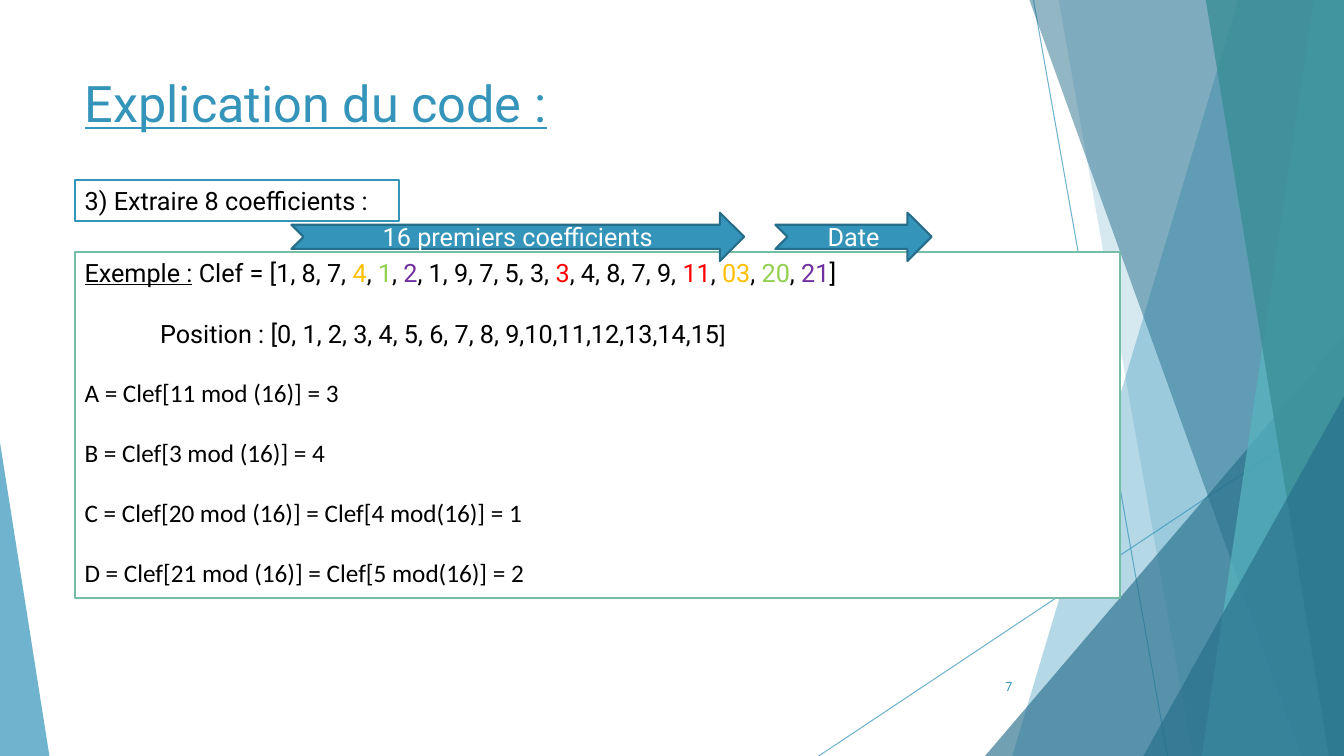
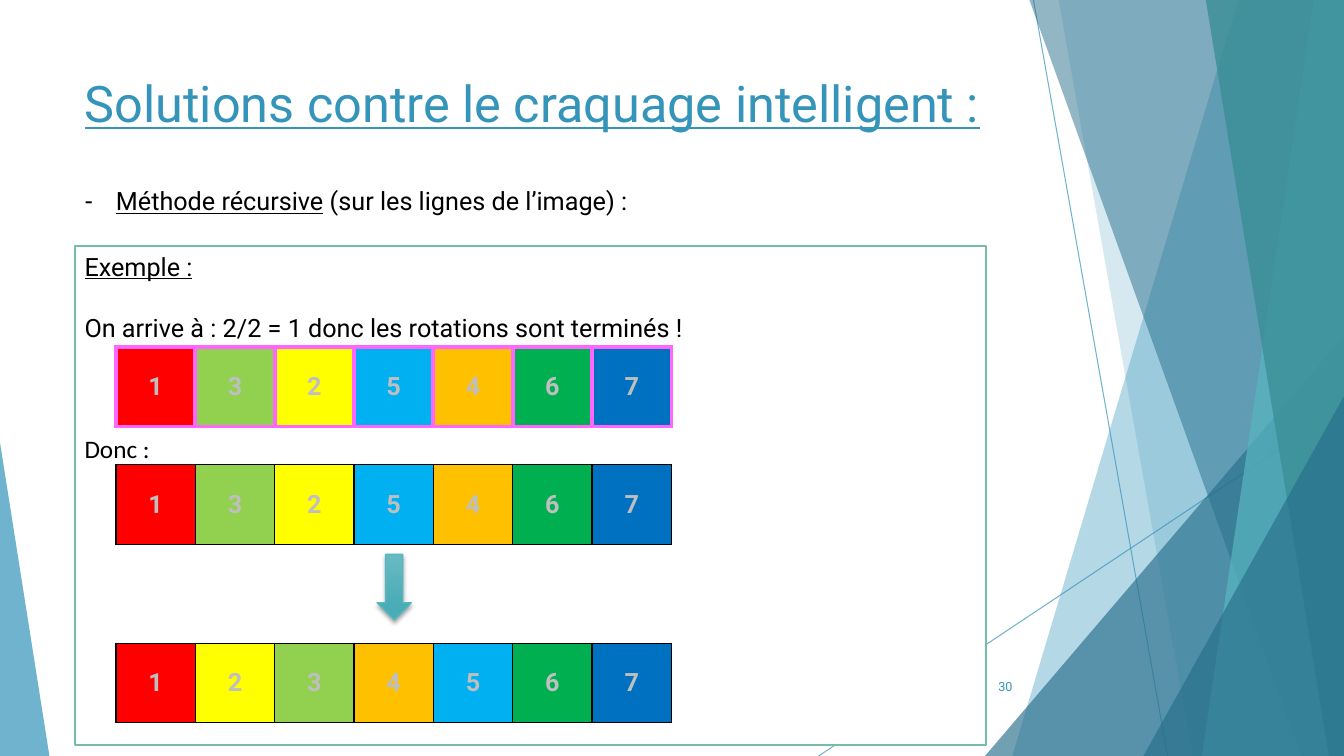
from dataclasses import dataclass
from typing import NamedTuple, Optional

from lxml.etree import SubElement
from pptx import Presentation
from pptx.dml.color import RGBColor
from pptx.enum.shapes import MSO_CONNECTOR, MSO_SHAPE
from pptx.enum.text import MSO_ANCHOR, MSO_AUTO_SIZE, PP_ALIGN
from pptx.oxml.ns import qn
from pptx.slide import Slide, SlideLayout
from pptx.util import Inches, Pt


@dataclass(frozen=True)
class Theme:
    """Colours, fonts and type sizes of the presentation."""
    accent: str = "3494BA"
    accent_dark: str = "276F8B"
    arrow_line: str = "266D8A"
    teal: str = "58B6C0"
    teal_dark: str = "3A8F98"
    teal_light: str = "67BAC3"
    teal_medium: str = "4AACB6"
    frame: str = "75BDA7"
    white: str = "FFFFFF"
    black: str = "000000"
    pink: str = "FF66FF"
    gray: str = "BFBFBF"
    red: str = "FF0000"
    orange: str = "FFC000"
    light_green: str = "92D050"
    purple: str = "7030A0"
    yellow: str = "FFFF00"
    sky: str = "00B0F0"
    green: str = "00B050"
    blue: str = "0070C0"
    font: str = "Roboto"
    formula_font: str = "Calibri"
    title_size: float = 36
    body_size: float = 18
    bracket_size: float = 16
    number_size: float = 9


THEME = Theme()
WIDTH, HEIGHT = 13.33, 7.5
LEFT = 0.74


class Box(NamedTuple):
    """A rectangle in inches."""
    left: float
    top: float
    width: float
    height: float

    def lengths(self) -> list:
        """Give the four values as lengths."""
        return [Inches(value) for value in self]


class Ray(NamedTuple):
    """A thin line of the decoration."""
    start: tuple
    end: tuple


class Band(NamedTuple):
    """A band from top to bottom that reaches the right edge."""
    top_left: float
    bottom_left: float
    color: str
    opacity: int


class Corner(NamedTuple):
    """A right triangle in a lower corner."""
    box: Box
    apex: float
    color: str
    opacity: int


class Run(NamedTuple):
    """A piece of text with its format."""
    text: str
    color: str = THEME.black
    underline: bool = False
    font: str = THEME.font
    size: float = THEME.body_size
    bold: bool = False


class Line(NamedTuple):
    """A paragraph with its spacing and indent."""
    runs: list
    space_before: float = 0
    margin: float = 0
    bullet: Optional[str] = None
    align: PP_ALIGN = PP_ALIGN.LEFT


class NumberRow(NamedTuple):
    """A row of numbered coloured cells."""
    top: float
    order: str
    border: str
    border_width: float


DECORATION = [
    Ray((10.25, 0), (11.58, HEIGHT)),
    Ray((WIDTH, 4.03), (8.12, HEIGHT)),
    Band(12.28, 10.04, THEME.accent, 36),
    Band(10.5, 11.83, THEME.accent, 20),
    Corner(Box(9.77, 3.33, 3.56, 4.17), 1, THEME.accent_dark, 66),
    Band(10.21, 12.91, THEME.accent_dark, 50),
    Band(13.03, 11.92, THEME.teal, 70),
    Band(11.96, 13.18, THEME.teal_dark, 80),
    Corner(Box(11.34, 3.93, 1.99, 3.57), 1, THEME.accent_dark, 66),
    Corner(Box(0, 4.39, 0.49, 3.11), 0, THEME.accent, 70),
]

CELL_COLORS = {
    "1": THEME.red, "2": THEME.yellow, "3": THEME.light_green, "4": THEME.orange,
    "5": THEME.sky, "6": THEME.green, "7": THEME.blue,
}
NUMBER_ROWS = [
    NumberRow(3.44, "1325467", THEME.pink, 3),
    NumberRow(4.61, "1325467", THEME.black, 1),
    NumberRow(6.38, "1234567", THEME.black, 1),
]

KEY_RUNS = [
    Run("Exemple :", underline=True), Run(" Clef = [1, 8, 7, "),
    Run("4", THEME.orange), Run(", "), Run("1", THEME.light_green), Run(", "),
    Run("2", THEME.purple), Run(", 1, 9, 7, 5, 3, "), Run("3", THEME.red),
    Run(", 4, 8, 7, 9, "), Run("11", THEME.red), Run(", "), Run("03", THEME.orange),
    Run(", "), Run("20", THEME.light_green), Run(", "), Run("21", THEME.purple), Run("]"),
]
POSITION_RUNS = [
    Run("Position : [0, 1, 2, 3, 4, 5, 6, 7, 8, 9,10,11,12,13,14,15"),
    Run("]", size=THEME.bracket_size),
]
FORMULAS = [
    "A = Clef[11 mod (16)] = 3",
    "B = Clef[3 mod (16)] = 4",
    "C = Clef[20 mod (16)] = Clef[4 mod(16)] = 1",
    "D = Clef[21 mod (16)] = Clef[5 mod(16)] = 2",
]


def rgb(color: str) -> RGBColor:
    """Turn a hexadecimal colour into an RGB colour."""
    return RGBColor.from_string(color)


def style(shape, fill: str, line: Optional[str] = None, width: float = 1.5) -> None:
    """Give a shape a plain fill and an optional outline."""
    shape.fill.solid()
    shape.fill.fore_color.rgb = rgb(fill)
    if line:
        shape.line.color.rgb = rgb(line)
        shape.line.width = Pt(width)
    else:
        shape.line.fill.background()


def set_opacity(shape, percent: int) -> None:
    """Make the colours of a shape partly transparent."""
    for color in list(shape.element.iter(qn("a:srgbClr"))):
        SubElement(color, qn("a:alpha"), val=str(percent * 1000))


def add_run(paragraph, text: str, *, color: str, underline: bool, font: str,
            size: float, bold: bool) -> None:
    """Add formatted text to a paragraph."""
    run = paragraph.add_run()
    run.text = text
    run.font.name = font
    run.font.size = Pt(size)
    run.font.color.rgb = rgb(color)
    run.font.underline = underline
    run.font.bold = bold


def write(frame, lines: list, anchor: MSO_ANCHOR = MSO_ANCHOR.TOP) -> None:
    """Fill a text frame with paragraphs."""
    frame.word_wrap = True
    frame.auto_size = MSO_AUTO_SIZE.NONE
    frame.vertical_anchor = anchor
    for index, line in enumerate(lines):
        paragraph = frame.add_paragraph() if index else frame.paragraphs[0]
        properties = paragraph._p.get_or_add_pPr()
        properties.set("marL", str(Inches(line.margin)))
        properties.set("indent", str(Inches(-line.margin if line.bullet else 0)))
        if line.bullet:
            SubElement(properties, qn("a:buChar"), char=line.bullet)
        else:
            SubElement(properties, qn("a:buNone"))
        paragraph.alignment = line.align
        paragraph.space_before = Pt(line.space_before)
        for run in line.runs:
            add_run(paragraph, run.text, **{
                name: value for name, value in run._asdict().items() if name != "text"})


def add_box(slide: Slide, preset: MSO_SHAPE, box: Box):
    """Add a preset shape without shadow."""
    shape = slide.shapes.add_shape(preset, *box.lengths())
    shape.shadow.inherit = False
    return shape


def draw_part(slide: Slide, part):
    """Draw one line, band or triangle of the decoration."""
    if isinstance(part, Ray):
        points = [Inches(value) for value in part.start + part.end]
        shape = slide.shapes.add_connector(MSO_CONNECTOR.STRAIGHT, *points)
        shape.line.color.rgb = rgb(THEME.accent)
        shape.line.width = Pt(0.75)
        SubElement(shape.element.spPr, qn("a:effectLst"))
        set_opacity(shape, 70)
        return shape
    if isinstance(part, Band):
        builder = slide.shapes.build_freeform(Inches(part.top_left), 0)
        corners = [(WIDTH, 0), (WIDTH, HEIGHT), (part.bottom_left, HEIGHT)]
        builder.add_line_segments([(Inches(x), Inches(y)) for x, y in corners])
        shape = builder.convert_to_shape()
        shape.shadow.inherit = False
    else:
        shape = add_box(slide, MSO_SHAPE.ISOSCELES_TRIANGLE, part.box)
        shape.adjustments[0] = part.apex
    style(shape, part.color)
    set_opacity(shape, part.opacity)
    return shape


def decorate_layout(layout: SlideLayout, slide: Slide) -> None:
    """Draw the decoration and move it behind the layout placeholders."""
    for index, part in enumerate(DECORATION):
        shape = draw_part(slide, part)
        shape.element.xpath(".//p:cNvPr")[0].set("id", str(100 + index))
        layout.shapes.element.insert(2 + index, shape.element)


def fill_placeholder(placeholder, box: Box, line: Line) -> None:
    """Move a placeholder and write one paragraph in it."""
    placeholder.left, placeholder.top, placeholder.width, placeholder.height = box.lengths()
    write(placeholder.text_frame, [line])


def add_frame(slide: Slide, box: Box, lines: list) -> None:
    """Add the outlined example box."""
    shape = add_box(slide, MSO_SHAPE.RECTANGLE, box)
    style(shape, THEME.white, THEME.frame)
    write(shape.text_frame, lines)


def start_slide(slide: Slide, title: str, number: str, heading: Line,
                heading_width: float, heading_border: str) -> None:
    """Write the title, heading and slide number."""
    fill_placeholder(slide.shapes.title, Box(LEFT, 0.67, 9.4, 0.81), Line(
        [Run(title, THEME.accent, underline=True, size=THEME.title_size)]))
    body = slide.placeholders[1]
    fill_placeholder(body, Box(LEFT, 1.79, heading_width, 0.4), heading)
    style(body, THEME.white, heading_border)
    number_box = slide.shapes.add_textbox(*Box(9.39, 6.61, 0.75, 0.4).lengths())
    write(number_box.text_frame, [Line(
        [Run(number, THEME.accent, size=THEME.number_size)], align=PP_ALIGN.RIGHT)],
        MSO_ANCHOR.MIDDLE)


def add_label_arrow(slide: Slide, left: float, width: float, text: str) -> None:
    """Add a notched arrow with a label."""
    arrow = add_box(slide, MSO_SHAPE.NOTCHED_RIGHT_ARROW, Box(left, 2.11, width, 0.48))
    style(arrow, THEME.accent, THEME.arrow_line)
    write(arrow.text_frame, [Line([Run(text, THEME.white)], align=PP_ALIGN.CENTER)],
          MSO_ANCHOR.MIDDLE)


def add_down_arrow(slide: Slide) -> None:
    """Add the shaded arrow between the two last rows."""
    arrow = add_box(slide, MSO_SHAPE.DOWN_ARROW, Box(3.74, 5.5, 0.34, 0.65))
    style(arrow, THEME.teal, THEME.teal, 1)
    arrow.fill.gradient()
    arrow.fill.gradient_angle = 270
    stops = [(0, THEME.teal_light), (0.78, THEME.teal_medium)]
    for stop, (position, color) in zip(arrow.fill.gradient_stops, stops):
        stop.position = position
        stop.color.rgb = rgb(color)
    effects = arrow.element.spPr.find(qn("a:effectLst"))
    shadow = SubElement(effects, qn("a:outerShdw"), blurRad=str(Pt(3)), dist=str(Pt(2)),
                        dir="5400000", rotWithShape="0")
    color = SubElement(shadow, qn("a:srgbClr"), val=THEME.black)
    SubElement(color, qn("a:alpha"), val="35000")


def add_number_row(slide: Slide, row: NumberRow) -> None:
    """Add a one-row table of coloured numbers."""
    table = slide.shapes.add_table(
        1, len(row.order), *Box(1.15, row.top, 5.51, 0.79).lengths()).table
    table.first_row = table.horz_banding = False
    for cell, digit in zip(table.rows[0].cells, row.order):
        properties = cell._tc.get_or_add_tcPr()
        for side in ("lnL", "lnR", "lnT", "lnB"):
            border = SubElement(properties, qn(f"a:{side}"), w=str(Pt(row.border_width)))
            fill = SubElement(border, qn("a:solidFill"))
            SubElement(fill, qn("a:srgbClr"), val=row.border)
        cell.fill.solid()
        cell.fill.fore_color.rgb = rgb(CELL_COLORS[digit])
        cell.vertical_anchor = MSO_ANCHOR.MIDDLE
        paragraph = cell.text_frame.paragraphs[0]
        paragraph.alignment = PP_ALIGN.CENTER
        add_run(paragraph, digit, color=THEME.gray, underline=False, font=THEME.font,
                size=THEME.body_size, bold=True)


def build_code_slide(slide: Slide) -> None:
    """Build the slide about extracting coefficients."""
    start_slide(slide, "Explication du code :", "7",
                Line([Run("3) Extraire 8 coefficients :")]), 3.22, THEME.accent)
    formulas = [Line([Run(text, font=THEME.formula_font)], 21.1) for text in FORMULAS]
    add_frame(slide, Box(LEFT, 2.5, 10.37, 3.43),
              [Line(KEY_RUNS), Line(POSITION_RUNS, 22, margin=0.75), *formulas])
    add_label_arrow(slide, 2.89, 4.49, "16 premiers coefficients")
    add_label_arrow(slide, 7.69, 1.55, "Date")


def build_solution_slide(slide: Slide) -> None:
    """Build the slide about the recursive method."""
    heading = [Run("Méthode récursive", underline=True), Run(" (sur les lignes de l’image) :")]
    start_slide(slide, "Solutions contre le craquage intelligent :", "30",
                Line(heading, margin=0.31, bullet="-"), 7.03, THEME.white)
    add_frame(slide, Box(LEFT, 2.44, 9.04, 4.95), [
        Line([Run("Exemple :", underline=True)]),
        Line([Run("On arrive à : 2/2 = 1 donc les rotations sont terminés !")], 22),
        Line([Run("Donc :", font=THEME.formula_font)], 65),
    ])
    add_down_arrow(slide)
    for row in NUMBER_ROWS:
        add_number_row(slide, row)


def main() -> None:
    """Build and save the presentation."""
    presentation = Presentation()
    presentation.slide_width, presentation.slide_height = Inches(WIDTH), Inches(HEIGHT)
    layout = presentation.slide_layouts[1]
    slides = [presentation.slides.add_slide(layout) for _ in range(2)]
    decorate_layout(layout, slides[0])
    build_code_slide(slides[0])
    build_solution_slide(slides[1])
    presentation.save("out.pptx")


if __name__ == "__main__":
    main()
